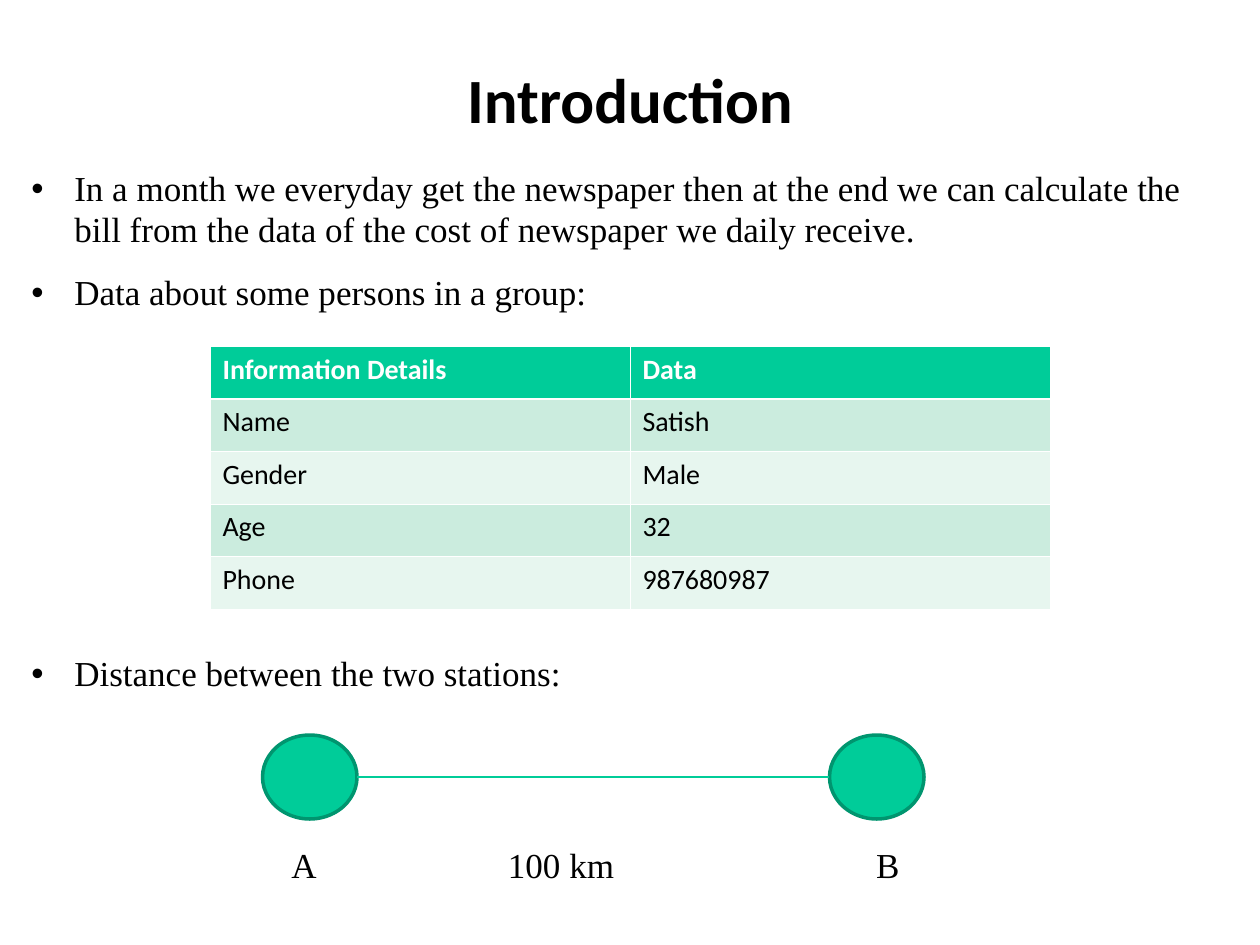
from lxml.etree import SubElement
from pptx import Presentation
from pptx.dml.color import RGBColor
from pptx.enum.shapes import MSO_CONNECTOR, MSO_SHAPE
from pptx.enum.text import MSO_ANCHOR, MSO_AUTO_SIZE, PP_ALIGN
from pptx.oxml import parse_xml
from pptx.oxml.ns import nsdecls, qn
from pptx.util import Pt

COLORS = {
    "text": "000000",
    "white": "FFFFFF",
    "green": "00CC99",
    "outline": "00956F",
    "track": "00CC98",
    "odd": "CBECDE",
    "even": "E7F6EF",
}
SANS, SERIF = "Calibri", "Times New Roman"
TITLE = "Introduction"
BULLETS = [
    ("In a month we everyday get the newspaper then at the end we can calculate "
     "the bill from the data of the cost of newspaper we daily receive.", 0),
    ("Data about some persons in a group:", 0),
    ("Distance between the two stations:", 181.5),
]
PERSON = [
    ("Information Details", "Data"),
    ("Name", "Satish"),
    ("Gender", "Male"),
    ("Age", "32"),
    ("Phone", "987680987"),
]
STATION_LEFTS = [150, 474]
STATION_TOP, STATION_WIDTH, STATION_HEIGHT = 420, 54, 48
LABELS = [("A", 173.7), ("100 km", 320.6), ("B", 507.4)]
LABEL_TOP, LABEL_WIDTH, LABEL_HEIGHT = 482, 90, 24
TABLE_LEFT, TABLE_TOP, COLUMN_WIDTH, ROW_HEIGHT = 120, 198, 240, 30


def color(name):
    return RGBColor.from_string(COLORS[name])


def format_text(para, font, size, shade="text", bold=False):
    for span in para.runs:
        span.font.name = font
        span.font.size = Pt(size)
        span.font.bold = bold
        span.font.color.rgb = color(shade)


def add_bullet(para):
    properties = para._p.get_or_add_pPr()
    properties.set("marL", str(Pt(24.5)))
    properties.set("indent", str(-Pt(24.5)))
    SubElement(properties, qn("a:buFont"), typeface="Arial")
    SubElement(properties, qn("a:buChar"), char="•")


def add_text_box(slide, left, top, width, height):
    box = slide.shapes.add_textbox(Pt(left), Pt(top), Pt(width), Pt(height))
    frame = box.text_frame
    frame.word_wrap = True
    frame.margin_left = frame.margin_right = 0
    frame.margin_top = frame.margin_bottom = 0
    return frame


def add_borders(cell, row):
    heavy_sides = {0: "lnB", 1: "lnT"}
    for index, side in enumerate(("lnL", "lnR", "lnT", "lnB")):
        width = Pt(1.47 if heavy_sides.get(row) == side else 0.45)
        border = parse_xml(
            f'<a:{side} {nsdecls("a")} w="{width}"><a:solidFill>'
            f'<a:srgbClr val="{COLORS["white"]}"/></a:solidFill></a:{side}>'
        )
        cell._tc.get_or_add_tcPr().insert(index, border)


def add_title(slide):
    title = slide.shapes.title
    title.left, title.top, title.width, title.height = Pt(36), Pt(42), Pt(648), Pt(32)
    frame = title.text_frame
    frame.text = TITLE
    frame.auto_size = MSO_AUTO_SIZE.NONE
    frame.vertical_anchor = MSO_ANCHOR.MIDDLE
    para = frame.paragraphs[0]
    para.alignment = PP_ALIGN.CENTER
    para.line_spacing = 0.97
    format_text(para, SANS, 36, bold=True)


def add_body(slide):
    frame = add_text_box(slide, 18, 84, 684, 438)
    frame.margin_top = Pt(12.5)
    for index, (text, gap) in enumerate(BULLETS):
        para = frame.add_paragraph() if index else frame.paragraphs[0]
        para.text = text
        para.line_spacing = 0.97
        para.space_before = Pt(gap)
        para.space_after = Pt(12.9)
        add_bullet(para)
        format_text(para, SERIF, 20)


def add_person_table(slide):
    rows, columns = len(PERSON), len(PERSON[0])
    table = slide.shapes.add_table(
        rows, columns, Pt(TABLE_LEFT), Pt(TABLE_TOP),
        Pt(columns * COLUMN_WIDTH), Pt(rows * ROW_HEIGHT),
    ).table
    for row, values in enumerate(PERSON):
        header = row == 0
        fill = "green" if header else "odd" if row % 2 else "even"
        for column, text in enumerate(values):
            cell = table.cell(row, column)
            cell.text = text
            cell.fill.solid()
            cell.fill.fore_color.rgb = color(fill)
            add_borders(cell, row)
            format_text(cell.text_frame.paragraphs[0], SANS, 16,
                        "white" if header else "text", header)


def add_route(slide):
    for left in STATION_LEFTS:
        station = slide.shapes.add_shape(
            MSO_SHAPE.OVAL, Pt(left), Pt(STATION_TOP), Pt(STATION_WIDTH), Pt(STATION_HEIGHT)
        )
        station.shadow.inherit = False
        station.fill.solid()
        station.fill.fore_color.rgb = color("green")
        station.line.color.rgb = color("outline")
        station.line.width = Pt(2)
    middle = Pt(STATION_TOP + STATION_HEIGHT / 2)
    track = slide.shapes.add_connector(
        MSO_CONNECTOR.STRAIGHT, Pt(STATION_LEFTS[0] + STATION_WIDTH), middle,
        Pt(STATION_LEFTS[1]), middle,
    )
    track.line.color.rgb = color("track")
    track.line.width = Pt(0.75)
    SubElement(track._element.spPr, qn("a:effectLst"))
    for text, center in LABELS:
        frame = add_text_box(slide, center - LABEL_WIDTH / 2, LABEL_TOP, LABEL_WIDTH, LABEL_HEIGHT)
        frame.text = text
        para = frame.paragraphs[0]
        para.alignment = PP_ALIGN.CENTER
        format_text(para, SERIF, 20)


def main():
    deck = Presentation()
    deck.slide_width, deck.slide_height = Pt(720), Pt(540)
    page = deck.slides.add_slide(deck.slide_layouts[5])
    add_title(page)
    add_body(page)
    add_person_table(page)
    add_route(page)
    deck.save("out.pptx")


if __name__ == "__main__":
    main()
